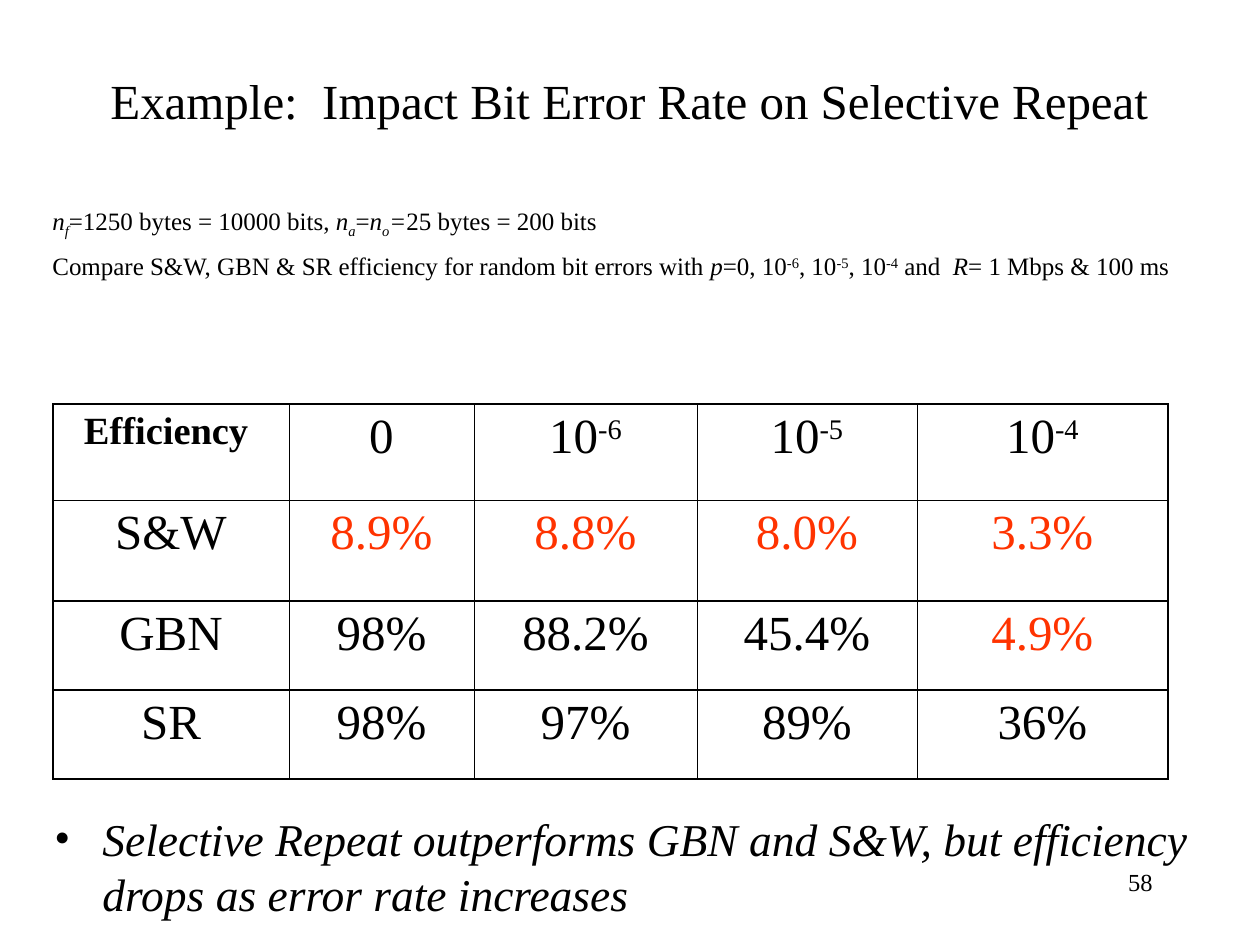
"""Build the slide on how bit error rate affects Selective Repeat."""
from lxml import etree
from pptx import Presentation
from pptx import util as u
from pptx.dml.color import RGBColor
from pptx.enum import text
from pptx.oxml.ns import qn

PIXEL = u.Inches(1) // 126
FONT = "Times New Roman"
BLACK, RED = "000000", "FF3300"
THIN, THICK = u.Pt(0.45), u.Pt(1.08)
BASELINES = {"sub": "-25000", "sup": "30000"}
CENTER = text.PP_ALIGN.CENTER


def write(para, spans, size, color=BLACK, before=0, align=text.PP_ALIGN.LEFT):
    para.alignment = align
    para.space_before = u.Pt(before)
    for words, style in spans:
        span = para.add_run()
        span.text = words
        font = span.font
        font.name, font.size = FONT, u.Pt(size)
        font.bold, font.italic = "bold" in style, "italic" in style
        font.color.rgb = RGBColor.from_string(color)
        for name, shift in BASELINES.items():
            if name in style:
                span._r.get_or_add_rPr().set("baseline", shift)


def add_box(left, top, width, height, anchor=text.MSO_ANCHOR.TOP):
    box = page.shapes.add_textbox(*[n * PIXEL for n in (left, top, width, height)])
    box.text_frame.word_wrap = True
    box.text_frame.vertical_anchor = anchor
    return box.text_frame


deck = Presentation()
deck.slide_width, deck.slide_height = 1260 * PIXEL, 945 * PIXEL
page = deck.slides.add_slide(deck.slide_layouts[6])

number = add_box(903, 861, 262, 63)
write(number.paragraphs[0], [("58", "")], 14, align=text.PP_ALIGN.RIGHT)

title = add_box(94, 21, 1071, 158, text.MSO_ANCHOR.MIDDLE)
write(title.paragraphs[0], [("Example:  Impact Bit Error Rate on Selective Repeat", "")],
      28, align=CENTER)

setup = add_box(40, 199, 1193, 118)
frame_sizes = [
    ("n", "italic"), ("f", "italic sub"), ("=1250 bytes = 10000 bits, ", ""),
    ("n", "italic"), ("a", "italic sub"), ("=", ""),
    ("n", "italic"), ("o", "italic sub"), ("=", "italic"), ("25 bytes = 200 bits", ""),
]
error_rates = [
    ("Compare S&W, GBN & SR efficiency for random bit errors with ", ""),
    ("p", "italic"), ("=0, 10", ""), ("-6", "sup"), (", 10", ""), ("-5", "sup"),
    (", 10", ""), ("-4", "sup"), (" and  ", ""), ("R", "italic"),
    ("= 1 Mbps & 100 ms ", ""),
]
write(setup.paragraphs[0], frame_sizes, 14.3, before=6.5)
write(setup.add_paragraph(), error_rates, 14.3, before=6.5)

rows = [
    ["Efficiency ", "0", "10^-6", "10^-5", "10^-4"],
    ["S&W", "8.9%", "8.8%", "8.0%", "3.3%"],
    ["GBN", "98%", "88.2%", "45.4%", "4.9%"],
    ["SR", "98%", "97%", "89%", "36%"],
]
low_values = {"8.9%", "8.8%", "8.0%", "3.3%", "4.9%"}
column_widths = [236, 185, 223, 220, 251]
row_heights = [96, 101, 89, 89]
last_column = len(column_widths) - 1

table = page.shapes.add_table(
    len(rows), len(column_widths), 53 * PIXEL, 404 * PIXEL,
    sum(column_widths) * PIXEL, sum(row_heights) * PIXEL).table
table.first_row = table.horz_banding = False
for column, width in zip(table.columns, column_widths):
    column.width = width * PIXEL
for row, height in zip(table.rows, row_heights):
    row.height = height * PIXEL

for r, values in enumerate(rows):
    for c, value in enumerate(values):
        cell = table.cell(r, c)
        corner = r == c == 0
        base, _, power = value.partition("^")
        spans = [(base, "bold" if corner else "")]
        if power:
            spans.append((power, "sup"))
        write(cell.text_frame.paragraphs[0], spans, 22 if corner else 28,
              RED if value in low_values else BLACK, 5.5 if corner else 7, CENTER)
        borders = {
            "a:lnL": THICK if c == 0 else THIN,
            "a:lnR": THICK if c == last_column else THIN,
            "a:lnT": THIN if r == 1 else THICK,
            "a:lnB": THIN if r == 0 else THICK,
        }
        properties = cell._tc.get_or_add_tcPr()
        for tag, weight in borders.items():
            line = etree.SubElement(properties, qn(tag), w=str(int(weight)))
            fill = etree.SubElement(line, qn("a:solidFill"))
            etree.SubElement(fill, qn("a:srgbClr"), val=BLACK)
        cell.fill.background()

conclusion = add_box(42, 805, 1178, 95).paragraphs[0]
write(conclusion, [("Selective Repeat outperforms GBN and S&W, but efficiency "
                    "drops as error rate increases ", "italic")], 26, before=6.5)
indent = 48 * PIXEL
bullet = conclusion._p.get_or_add_pPr()
bullet.set("marL", str(indent))
bullet.set("indent", str(-indent))
etree.SubElement(bullet, qn("a:buFont"), typeface=FONT)
etree.SubElement(bullet, qn("a:buChar"), char="•")

deck.save("out.pptx")
